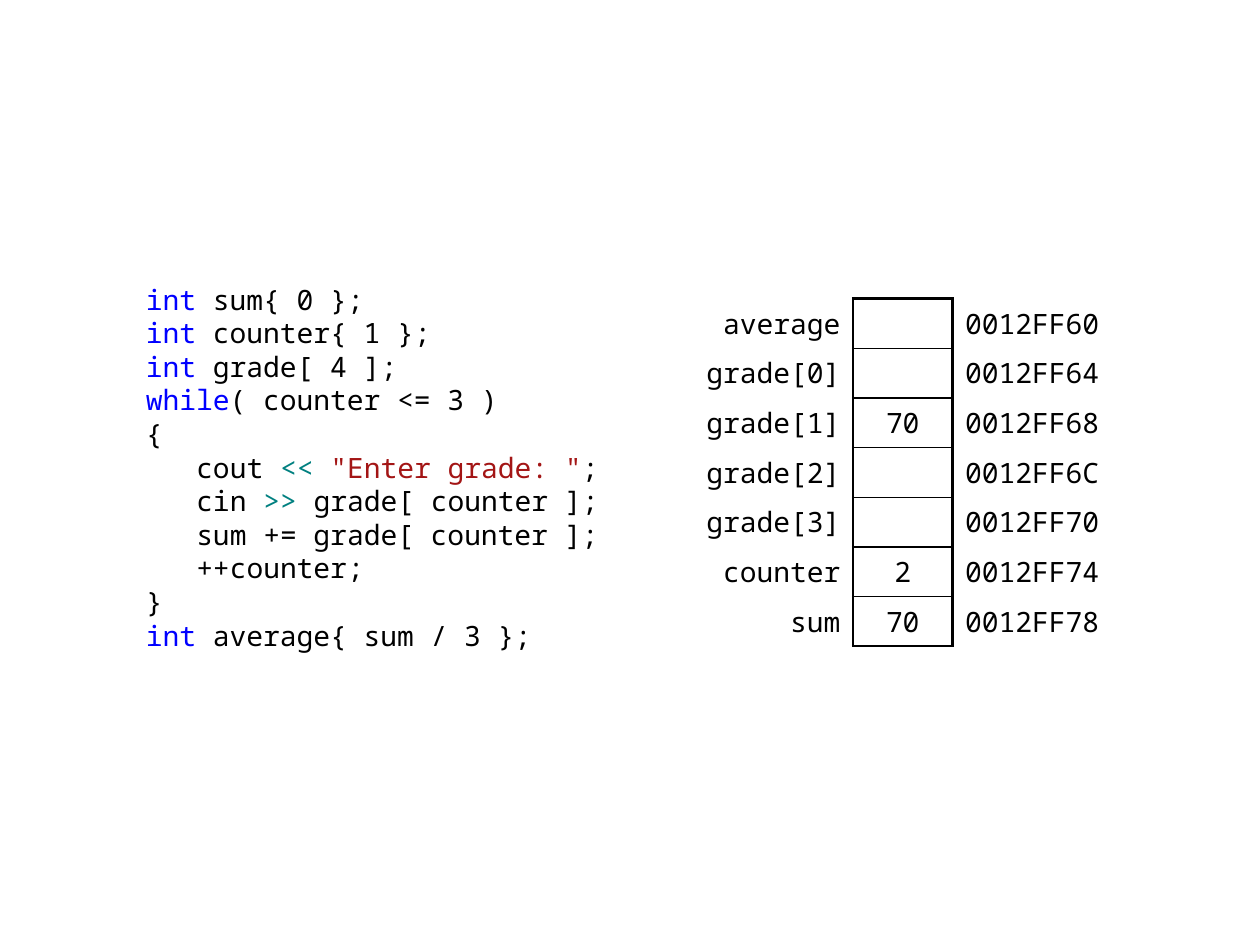
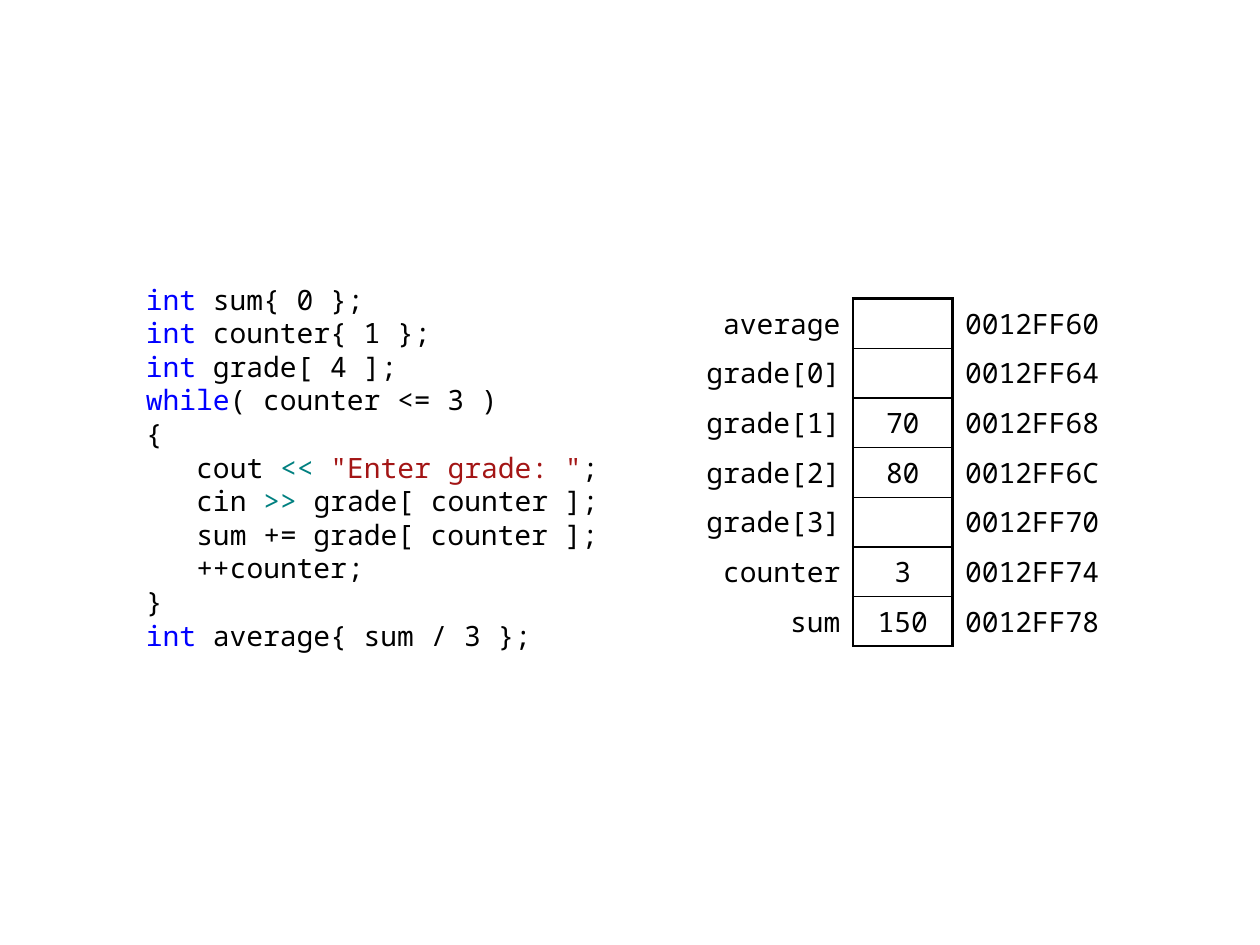
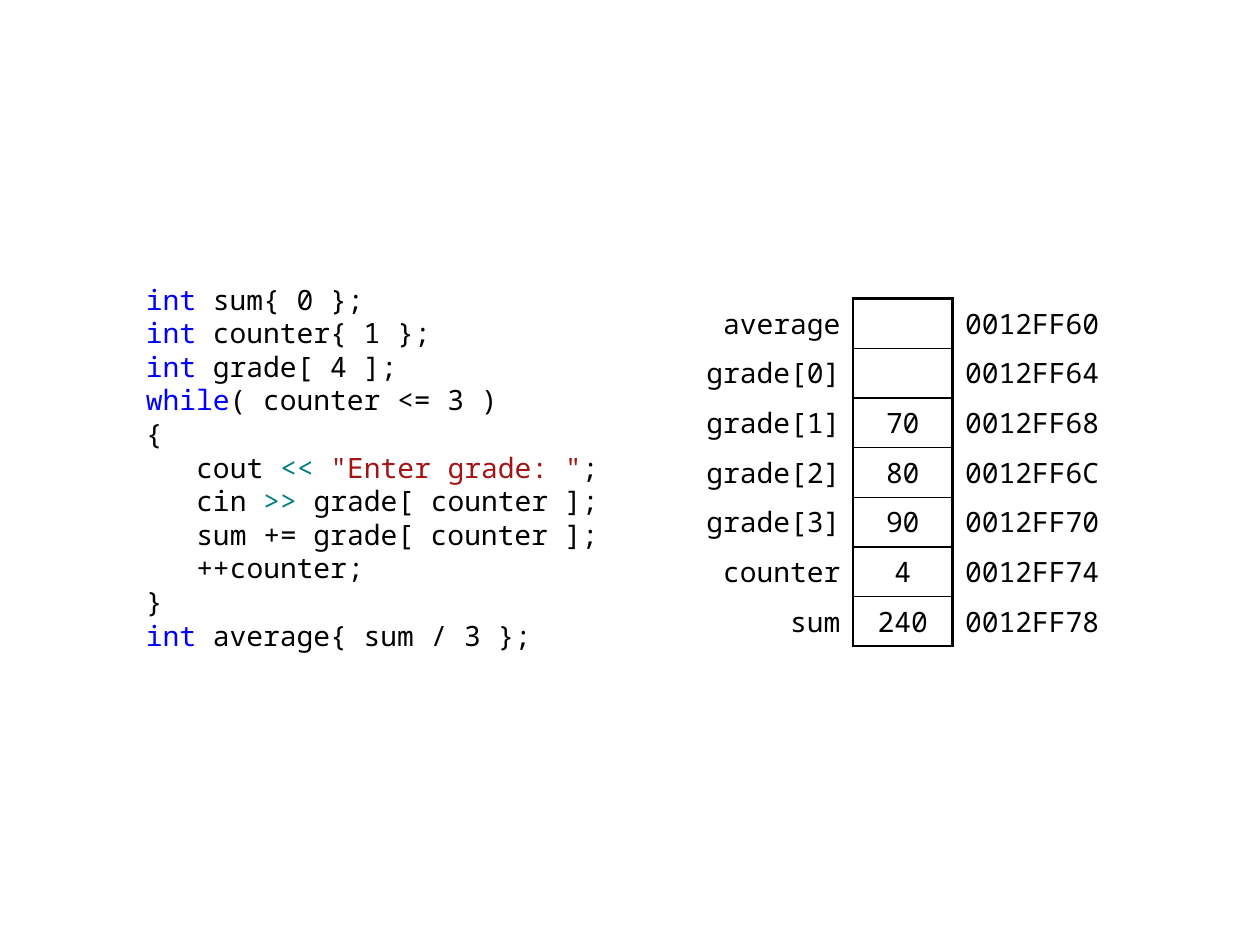
import pptx
import pptx.dml.color
import pptx.enum.text
import pptx.oxml.ns
import lxml.etree
from pptx.util import Inches

COLORS = {
    "plain": "000000",
    "keyword": "0000FF",
    "operator": "008080",
    "string": "A31515",
    "background": "FFFFFF",
}
FONT = "Noto Sans Mono"
FONT_SIZE = pptx.util.Pt(16)
LINE_PITCH = pptx.util.Pt(19.2)
CODE_INDENT = Inches(0.4)
NO_GRID_STYLE = "{2D5ABB26-0587-4C30-8999-92F81FD0307C}"
OUTER, INNER = 1.5, 1

# Each line: indent level, then (text, colour) runs.
CODE = [
    (0, [("int ", "keyword"), ("sum{ 0 };", "plain")]),
    (0, [("int ", "keyword"), ("counter{ 1 };", "plain")]),
    (0, [("int ", "keyword"), ("grade[ 4 ];", "plain")]),
    (0, [("while", "keyword"), ("( counter <= 3 )", "plain")]),
    (0, [("{", "plain")]),
    (1, [("cout ", "plain"), ("<< ", "operator"),
         ('"Enter grade: "', "string"), (";", "plain")]),
    (1, [("cin ", "plain"), (">>", "operator"), (" grade[ counter ];", "plain")]),
    (1, [("sum += grade[ counter ];", "plain")]),
    (1, [("++counter;", "plain")]),
    (0, [("}", "plain")]),
    (0, [("int ", "keyword"), ("average{ sum / 3 };", "plain")]),
]

VARIABLES = ["average", "grade[0]", "grade[1]", "grade[2]", "grade[3]", "counter", "sum"]
FIRST_ADDRESS = 0x0012FF60
INT_BYTES = 4
COLUMN_WIDTHS = [1.38, 0.79, 1.38]

# Memory contents after each pass of the loop.
MEMORY_STATES = [
    {"grade[1]": "70", "counter": "2", "sum": "70"},
    {"grade[1]": "70", "grade[2]": "80", "counter": "3", "sum": "150"},
    {"grade[1]": "70", "grade[2]": "80", "grade[3]": "90", "counter": "4", "sum": "240"},
]


def add_run(paragraph, text, color="plain"):
    run = paragraph.add_run()
    run.text = text
    run.font.name = FONT
    run.font.size = FONT_SIZE
    run.font.color.rgb = pptx.dml.color.RGBColor.from_string(COLORS[color])


def add_code(slide):
    box = slide.shapes.add_textbox(Inches(1.06), Inches(2.17), Inches(3.94), Inches(3.15))
    frame = box.text_frame
    frame.word_wrap = True
    frame.margin_top = Inches(0.07)
    for number, (level, runs) in enumerate(CODE):
        paragraph = frame.add_paragraph() if number else frame.paragraphs[0]
        paragraph.line_spacing = LINE_PITCH
        if level:
            paragraph._p.get_or_add_pPr().set("marL", str(level * CODE_INDENT))
        for text, color in runs:
            add_run(paragraph, text, color)


def set_borders(cell, widths):
    """Draw the given sides; widths maps L, R, T, B (in that order) to points."""
    properties = cell._tc.get_or_add_tcPr()
    qn = pptx.oxml.ns.qn
    for side, width in widths.items():
        line = lxml.etree.SubElement(properties, qn(f"a:ln{side}"), w=str(pptx.util.Pt(width)))
        fill = lxml.etree.SubElement(line, qn("a:solidFill"))
        lxml.etree.SubElement(fill, qn("a:srgbClr"), val=COLORS["plain"])


def fill_cell(cell, text, alignment, borders):
    cell.vertical_anchor = pptx.enum.text.MSO_ANCHOR.MIDDLE
    cell.margin_top = cell.margin_bottom = Inches(0.04)
    set_borders(cell, borders)
    cell.fill.background()
    paragraph = cell.text_frame.paragraphs[0]
    paragraph.alignment = alignment
    if text:
        add_run(paragraph, text)


def add_memory_table(slide, values):
    height = Inches(2.76)
    row_count = len(VARIABLES)
    table = slide.shapes.add_table(
        row_count, len(COLUMN_WIDTHS), Inches(5.39), Inches(2.37),
        Inches(sum(COLUMN_WIDTHS)), height).table
    table.first_row = table.horz_banding = False
    table._tbl.tblPr.find(pptx.oxml.ns.qn("a:tableStyleId")).text = NO_GRID_STYLE
    for column, width in zip(table.columns, COLUMN_WIDTHS):
        column.width = Inches(width)

    align = pptx.enum.text.PP_ALIGN
    for row, variable in enumerate(VARIABLES):
        table.rows[row].height = height // row_count
        name_cell, value_cell, address_cell = table.rows[row].cells
        top = INNER if row else OUTER
        bottom = OUTER if row == row_count - 1 else INNER
        fill_cell(name_cell, variable, align.RIGHT, {"R": OUTER})
        fill_cell(value_cell, values.get(variable), align.CENTER,
                  {"L": OUTER, "R": OUTER, "T": top, "B": bottom})
        address = f"{FIRST_ADDRESS + row * INT_BYTES:08X}"
        fill_cell(address_cell, address, align.LEFT, {"L": OUTER})
        address_cell.margin_right = Inches(0.08)


def main():
    presentation = pptx.Presentation()
    presentation.slide_width = Inches(10)
    presentation.slide_height = Inches(7.5)
    background = presentation.slide_master.background.fill
    background.solid()
    background.fore_color.rgb = pptx.dml.color.RGBColor.from_string(COLORS["background"])
    blank_layout = presentation.slide_layouts.get_by_name("Blank")
    for values in MEMORY_STATES:
        slide = presentation.slides.add_slide(blank_layout)
        add_code(slide)
        add_memory_table(slide, values)
    presentation.save("out.pptx")


if __name__ == "__main__":
    main()
